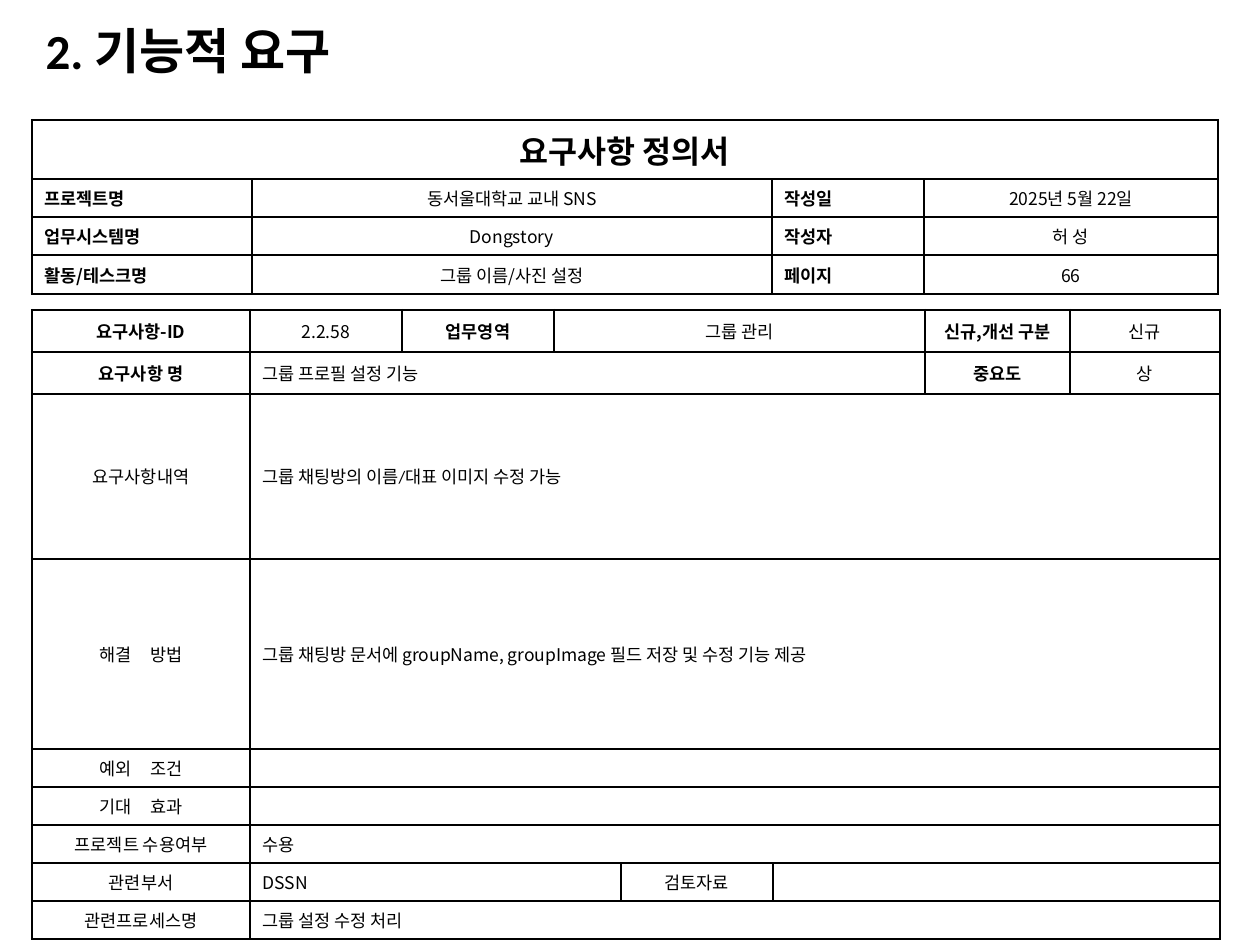
from lxml import etree
from pptx import Presentation
from pptx import util as u
from pptx.dml.color import RGBColor
from pptx.enum import text
from pptx.oxml import ns

PX_PER_INCH = 126
COLORS = {"ink": "000000"}
LATIN, KOREAN = "Calibri", "Noto Sans CJK KR"
THIN, THICK = 1, 1.5
LEFT, CENTER, JUSTIFY = text.PP_ALIGN.LEFT, text.PP_ALIGN.CENTER, text.PP_ALIGN.JUSTIFY
LABEL = {"bold": True}
SIDE_LABEL = {"bold": True, "align": JUSTIFY}
BODY = {"align": LEFT}

TITLE = "2. 기능적 요구"

# Each cell is (text, columns spanned, format); gap widens the spaces, in points.
HEADER = {
    "at": (32, 120), "cols": [220, 520, 152, 294], "rows": [59, 38, 38, 39],
    "thick_lines": {0, 4}, "right": THICK,
    "cells": [
        [("요구사항 정의서", 4, {"bold": True, "size": 18})],
        [("프로젝트명", 1, SIDE_LABEL), ("동서울대학교 교내 SNS", 1, {}),
         ("작성일", 1, SIDE_LABEL), ("2025년 5월 22일", 1, {})],
        [("업무시스템명", 1, SIDE_LABEL), ("Dongstory", 1, {}),
         ("작성자", 1, SIDE_LABEL), ("허 성", 1, {})],
        [("활동/테스크명", 1, SIDE_LABEL), ("그룹 이름/사진 설정", 1, {}),
         ("페이지", 1, SIDE_LABEL), ("66", 1, {})],
    ],
}
REQUIREMENT = {
    "at": (32, 310), "cols": [218, 152, 152, 67, 152, 152, 145, 150],
    "rows": [42, 42, 165, 190] + [38] * 5,
    "thick_lines": {0, 1, 2, 9}, "right": THIN,
    "cells": [
        [("요구사항-ID", 1, LABEL), ("2.2.58", 1, {}), ("업무영역", 1, LABEL),
         ("그룹 관리", 3, {}), ("신규,개선 구분", 1, LABEL), ("신규", 1, {})],
        [("요구사항 명", 1, LABEL), ("그룹 프로필 설정 기능", 5, BODY),
         ("중요도", 1, LABEL), ("상", 1, {})],
        [("요구사항내역", 1, {}),
         ("그룹 채팅방의 이름/대표 이미지 수정 가능", 7, {"align": LEFT, "font": LATIN})],
        [("해결 방법", 1, {"gap": 9}),
         ("그룹 채팅방 문서에 groupName, groupImage 필드 저장 및 수정 기능 제공", 7, BODY)],
        [("예외 조건", 1, {"gap": 9}), ("", 7, BODY)],
        [("기대 효과", 1, {"gap": 9}), ("", 7, BODY)],
        [("프로젝트 수용여부", 1, {}), ("수용", 7, BODY)],
        [("관련부서", 1, {}), ("DSSN", 3, BODY), ("검토자료", 1, {}), ("", 3, BODY)],
        [("관련프로세스명", 1, {}), ("그룹 설정 수정 처리", 7, BODY)],
    ],
}


def px(n):
    return u.Emu(round(n * u.Inches(1) / PX_PER_INCH))


def write(frame, words, size=10, bold=False, font=KOREAN, align=CENTER, gap=0):
    para = frame.paragraphs[0]
    para.alignment = align
    if not words:
        end = etree.SubElement(para._p, ns.qn("a:endParaRPr"))
        end.set("sz", str(size * 100))
        return para
    first, *rest = words.split(" ") if gap else [words]
    pieces = [first] + [piece for word in rest for piece in (" ", word)]
    for piece in pieces:
        span = para.add_run()
        span.text = piece
        span.font.size, span.font.bold, span.font.name = u.Pt(size), bold, font
        span.font.color.rgb = RGBColor.from_string(COLORS["ink"])
        props = span._r.get_or_add_rPr()
        etree.SubElement(props, ns.qn("a:ea")).set("typeface", KOREAN)
        if piece == " ":
            props.set("spc", str(gap * 100))
    return para


def set_borders(cell, **widths):
    """Draw the given sides; call before the fill, which must follow in the XML."""
    props = cell._tc.get_or_add_tcPr()
    for side in "LRTB":
        if side in widths:
            line = etree.SubElement(props, ns.qn("a:ln" + side), w=str(u.Pt(widths[side])))
            fill = etree.SubElement(line, ns.qn("a:solidFill"))
            etree.SubElement(fill, ns.qn("a:srgbClr"), val=COLORS["ink"])


def add_form(page, form):
    cols, rows = form["cols"], form["rows"]
    x, y = form["at"]
    table = page.shapes.add_table(len(rows), len(cols), px(x), px(y),
                                  px(sum(cols)), px(sum(rows))).table
    table.first_row = table.horz_banding = False
    for column, width in zip(table.columns, cols):
        column.width = px(width)
    for row, height in zip(table.rows, rows):
        row.height = px(height)

    for r, entries in enumerate(form["cells"]):
        top, bottom = (THICK if n in form["thick_lines"] else THIN for n in (r, r + 1))
        start = 0
        for words, width, style in entries:
            end = start + width
            sides = {"L": THIN if start else THICK,
                     "R": form["right"] if end == len(cols) else THIN}
            if width > 1:
                table.cell(r, start).merge(table.cell(r, end - 1))
            for c in range(start, end):
                cell = table.cell(r, c)
                set_borders(cell, T=top, B=bottom, **sides)
                cell.fill.background()
                cell.vertical_anchor = text.MSO_ANCHOR.MIDDLE
                write(cell.text_frame, words if c == start else "", **style)
            start = end


def main():
    deck = Presentation()
    deck.slide_width, deck.slide_height = px(1260), px(945)
    page = deck.slides.add_slide(deck.slide_layouts[5])

    title = page.shapes.title
    title.left, title.top, title.width, title.height = px(33), px(26), px(675), px(55)
    title.text_frame.vertical_anchor = text.MSO_ANCHOR.MIDDLE
    heading = write(title.text_frame, TITLE, size=28, bold=True, font=LATIN, align=LEFT)
    heading.line_spacing = 0.9

    for form in (REQUIREMENT, HEADER):
        add_form(page, form)
    deck.save("out.pptx")


if __name__ == "__main__":
    main()
